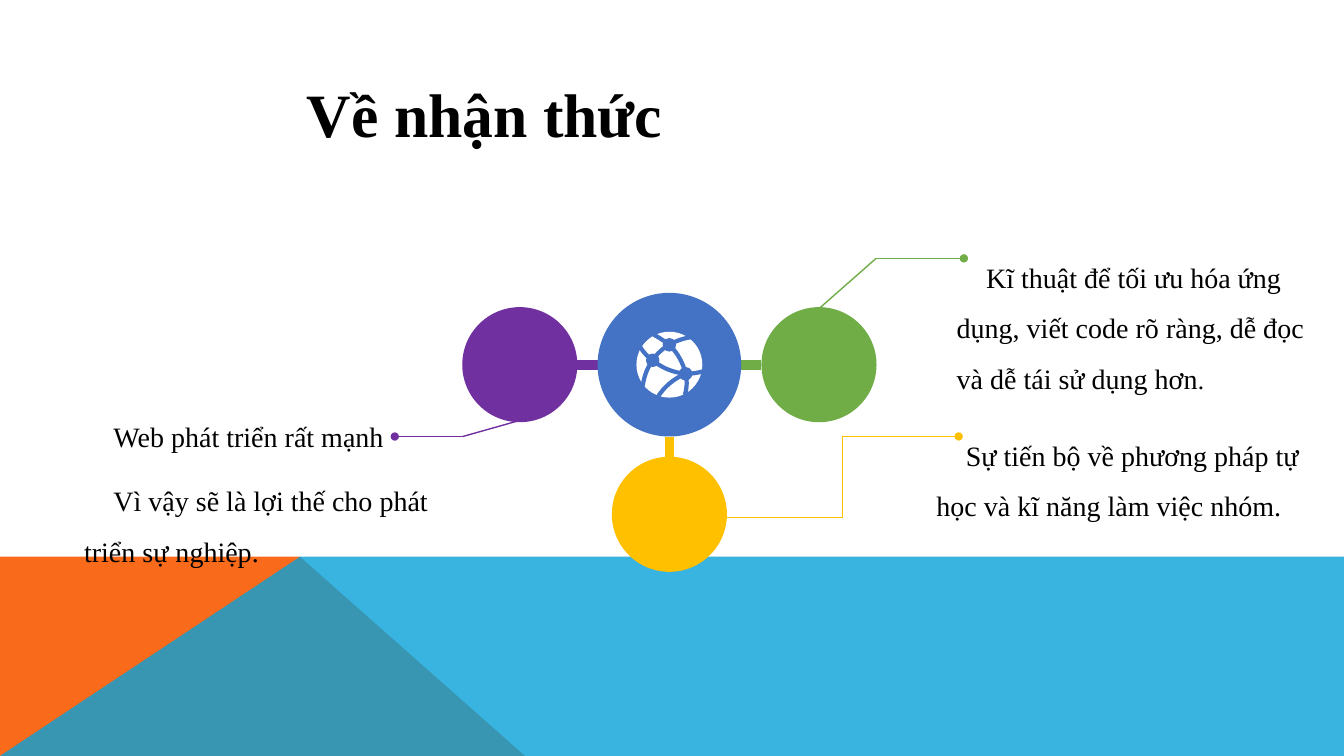
from dataclasses import dataclass

from lxml import etree
from pptx import Presentation
from pptx.dml.color import RGBColor
from pptx.enum.shapes import MSO_CONNECTOR, MSO_SHAPE
from pptx.enum.text import MSO_ANCHOR, PP_ALIGN
from pptx.oxml.ns import qn
from pptx.util import Cm, Pt

OVAL = MSO_SHAPE.OVAL
STRAIGHT, ELBOW = MSO_CONNECTOR.STRAIGHT, MSO_CONNECTOR.ELBOW
LEFT = PP_ALIGN.LEFT
TOP, MIDDLE = MSO_ANCHOR.TOP, MSO_ANCHOR.MIDDLE


@dataclass(frozen=True)
class Theme:
    font: str = "Times New Roman"
    title_size: int = 44
    body_size: int = 20
    small_size: int = 18
    text: str = "000000"
    white: str = "FFFFFF"
    blue: str = "4472C4"
    purple: str = "7030A0"
    green: str = "70AD47"
    yellow: str = "FFC000"
    orange: str = "F96A1B"
    sky: str = "08A1D9"


THEME = Theme()

# Diagram measures in centimetres
HUB = (16.87, 9.19)
HUB_RADIUS, SATELLITE_RADIUS, ORBIT = 1.81, 1.45, 3.77
GLOBE_RADIUS, NODE_RADIUS = 0.83, 0.17


def color(value):
    return RGBColor.from_string(value)


def add_circle(slide, center, radius, fill):
    x, y = center
    shape = slide.shapes.add_shape(
        OVAL, Cm(x - radius), Cm(y - radius), Cm(2 * radius), Cm(2 * radius))
    shape.shadow.inherit = False
    shape.fill.solid()
    shape.fill.fore_color.rgb = color(fill)
    shape.line.fill.background()


def add_outline(slide, points, closed):
    corners = [(Cm(x), Cm(y)) for x, y in points]
    builder = slide.shapes.build_freeform(*corners[0], scale=1.0)
    builder.add_line_segments(corners[1:], close=closed)
    shape = builder.convert_to_shape()
    shape.shadow.inherit = False
    return shape


def add_polygon(slide, points, fill, opacity=100):
    shape = add_outline(slide, points, True)
    shape.fill.solid()
    shape.fill.fore_color.rgb = color(fill)
    shape.line.fill.background()
    if opacity < 100:
        fill_color = shape.fill._xPr.find(qn("a:solidFill"))[0]
        etree.SubElement(fill_color, qn("a:alpha")).set("val", str(opacity * 1000))


def add_curve(slide, start, control, end, line_color, width):
    steps = 10
    points = []
    for step in range(steps + 1):
        t = step / steps
        points.append(tuple(
            (1 - t) ** 2 * a + 2 * t * (1 - t) * b + t ** 2 * c
            for a, b, c in zip(start, control, end)))
    shape = add_outline(slide, points, False)
    shape.fill.background()
    shape.line.color.rgb = color(line_color)
    shape.line.width = Pt(width)


def add_line(slide, start, end, line_color, width=1, kind=STRAIGHT, dot=False):
    connector = slide.shapes.add_connector(
        kind, *(Cm(value) for value in (*start, *end)))
    connector.line.color.rgb = color(line_color)
    connector.line.width = Pt(width)
    if dot:
        tail = etree.SubElement(connector.line._get_or_add_ln(), qn("a:tailEnd"))
        tail.set("type", "oval")
    etree.SubElement(connector._element.spPr, qn("a:effectLst"))


def add_run(paragraph, text, size, bold=False):
    run = paragraph.add_run()
    run.text = text
    run.font.name = THEME.font
    run.font.size = Pt(size)
    run.font.bold = bold
    run.font.color.rgb = color(THEME.text)


def add_title(slide, text):
    title = slide.shapes.title
    title.left, title.top, title.width, title.height = (
        Cm(7.48), Cm(1.78), Cm(9.55), Cm(2.13))
    frame = title.text_frame
    frame.word_wrap = False
    frame.vertical_anchor = MIDDLE
    frame.paragraphs[0].alignment = LEFT
    add_run(frame.paragraphs[0], text, THEME.title_size, bold=True)


def add_note(slide, box, paragraphs, space_after=0):
    frame = slide.shapes.add_textbox(*(Cm(value) for value in box)).text_frame
    frame.word_wrap = True
    frame.vertical_anchor = TOP
    for index, runs in enumerate(paragraphs):
        paragraph = frame.add_paragraph() if index else frame.paragraphs[0]
        paragraph.alignment = LEFT
        paragraph.line_spacing = 1.5
        paragraph.space_after = Pt(space_after)
        properties = paragraph._p.get_or_add_pPr()
        properties.set("marL", str(Cm(1.27)))
        properties.set("indent", str(Cm(0.74)))
        for text, size in runs:
            add_run(paragraph, text, size)


def add_satellite(slide, direction, fill):
    def along(distance):
        return tuple(c + d * distance for c, d in zip(HUB, direction))

    add_line(slide, along(HUB_RADIUS), along(ORBIT - SATELLITE_RADIUS), fill, width=7)
    add_circle(slide, along(ORBIT), SATELLITE_RADIUS, fill)


def add_globe(slide):
    add_circle(slide, HUB, GLOBE_RADIUS, THEME.white)
    top, left, right = (16.87, 8.69), (16.45, 9.08), (17.28, 9.42)
    strands = [
        (top, (17.1, 8.55), (17.4, 8.5)),
        (top, (16.7, 8.56), (16.47, 8.43)),
        (top, (16.6, 8.84), left),
        (top, (17.18, 9.0), right),
        (left, (16.8, 9.37), right),
        (left, (16.26, 8.95), (16.14, 8.75)),
        (left, (16.25, 9.35), (16.2, 9.72)),
        (right, (17.5, 9.42), (17.71, 9.36)),
        (right, (17.34, 9.7), (17.26, 9.95)),
        (right, (16.84, 9.6), (16.58, 10.0)),
    ]
    for start, control, end in strands:
        add_curve(slide, start, control, end, THEME.blue, 3)
    for node in (top, left, right):
        add_circle(slide, node, NODE_RADIUS, THEME.blue)


def main():
    presentation = Presentation()
    presentation.slide_width, presentation.slide_height = Cm(33.87), Cm(19.05)
    slide = presentation.slides.add_slide(presentation.slide_layouts[5])

    # Floor
    floor, bottom, peak = 14.03, 19.05, 7.56
    add_polygon(slide, [(0, bottom), (0, floor), (peak, floor), (13.23, bottom)],
                THEME.orange)
    add_polygon(slide, [(0, bottom), (peak, floor), (33.87, floor), (33.87, bottom)],
                THEME.sky, opacity=80)

    # Leader lines
    add_line(slide, (18.3, 13.04), (24.16, 11), THEME.yellow, kind=ELBOW, dot=True)
    leaders = [
        (THEME.purple, (13.11, 10.59), (11.66, 11), (9.95, 11)),
        (THEME.green, (20.67, 7.75), (22.08, 6.51), (24.29, 6.51)),
    ]
    for line_color, start, bend, end in leaders:
        add_line(slide, start, bend, line_color)
        add_line(slide, bend, end, line_color, dot=True)

    # Notes
    body = THEME.body_size
    add_note(slide, (22.59, 6.01, 10.74, 2.84), [[
        ("Kĩ thuật để tối ưu hóa ứng dụng, viết code rõ ràng, "
         "dễ đọc và dễ tái sử dụng hơn", body),
        (".", THEME.small_size)]])
    add_note(slide, (22.08, 10.49, 11.13, 2.84), [[
        ("Sự tiến bộ về phương pháp tự học và kĩ năng làm việc nhóm.", body)]])
    add_note(slide, (0.6, 10.02, 11.05, 5), [
        [("Web phát triển rất mạnh", body)],
        [("Vì vậy sẽ là lợi thế cho phát triển sự nghiệp.", body)]], space_after=10)

    # Hub and satellites
    add_satellite(slide, (0, 1), THEME.yellow)
    add_satellite(slide, (1, 0), THEME.green)
    add_satellite(slide, (-1, 0), THEME.purple)
    add_circle(slide, HUB, HUB_RADIUS, THEME.blue)
    add_globe(slide)

    add_title(slide, "Về nhận thức")
    presentation.save("out.pptx")


if __name__ == "__main__":
    main()
